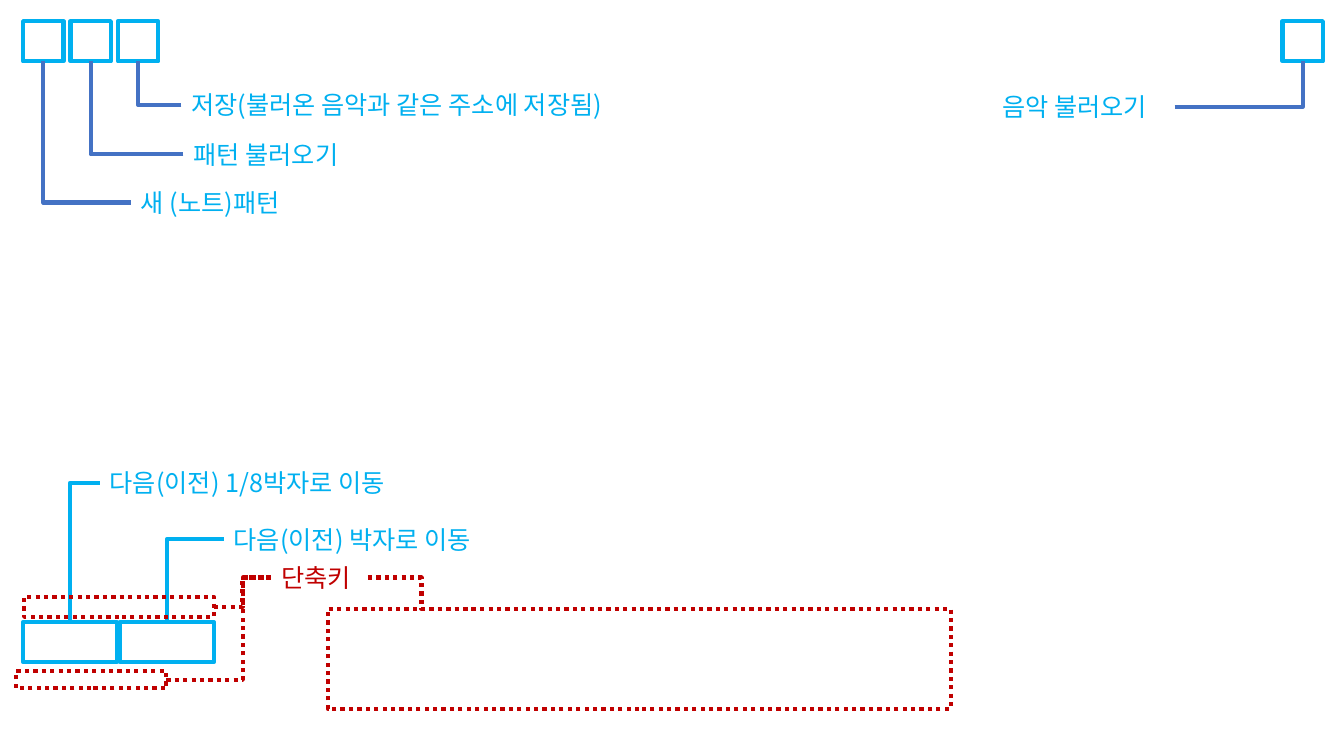
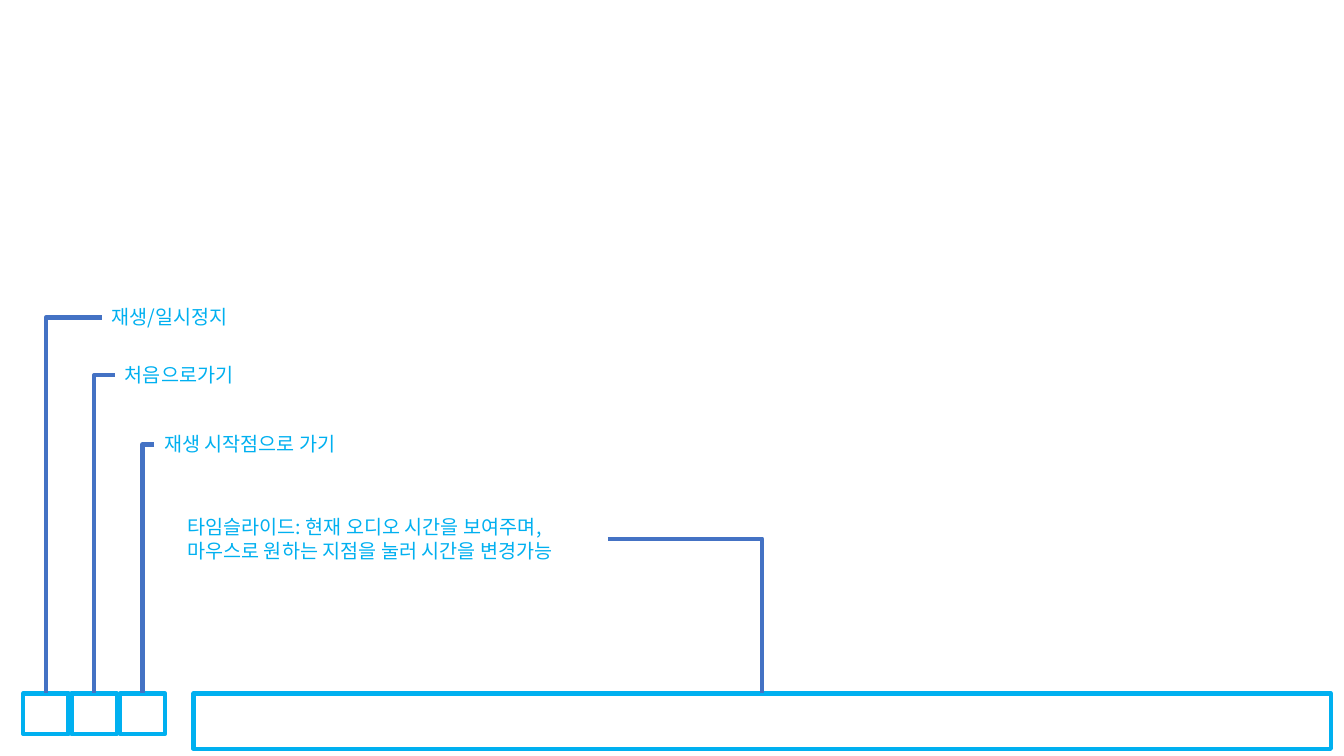
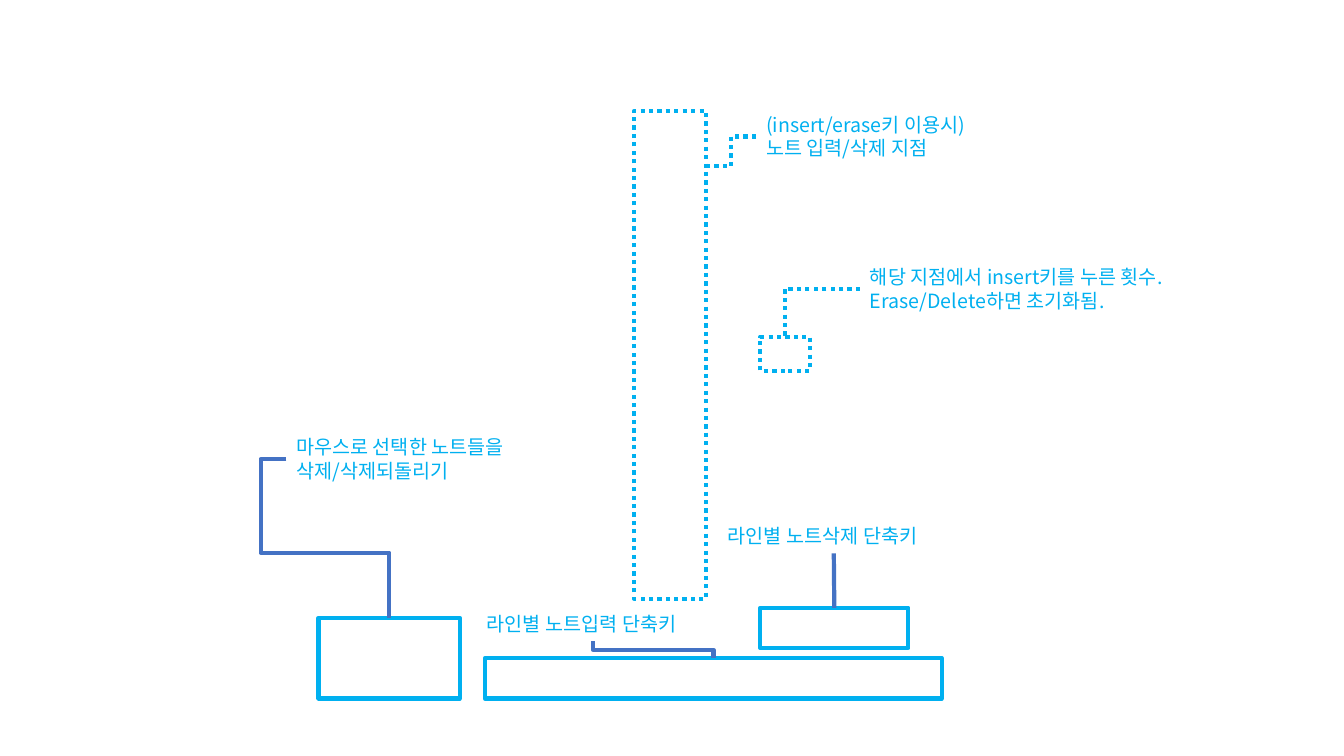
from dataclasses import dataclass
from lxml import etree
from pptx import Presentation
from pptx.dml.color import RGBColor
from pptx.enum.dml import MSO_LINE
from pptx.enum.shapes import MSO_CONNECTOR, MSO_SHAPE
from pptx.oxml.ns import qn
from pptx.util import Inches, Pt

RECT = MSO_SHAPE.RECTANGLE
ELBOW = MSO_CONNECTOR.ELBOW
PLAIN = MSO_CONNECTOR.STRAIGHT
DOTS = MSO_LINE.ROUND_DOT
TOP, LEFT, BOTTOM, RIGHT = range(4)
TURN = "16200000"


@dataclass(frozen=True)
class Theme:
    cyan: RGBColor = RGBColor(0x00, 0xB0, 0xF0)
    blue: RGBColor = RGBColor(0x44, 0x72, 0xC4)
    red: RGBColor = RGBColor(0xC0, 0x00, 0x00)
    font: str = "Noto Sans CJK KR"
    large: int = 18
    small: int = 14
    line: int = 3


THEME = Theme()


def stroke(line, color, dotted):
    line.color.rgb = color
    line.width = Pt(THEME.line)
    if dotted:
        line.dash_style = DOTS


def frame(slide, x, y, w, h, color=THEME.cyan, dotted=False):
    box = slide.shapes.add_shape(RECT, Inches(x), Inches(y), Inches(w), Inches(h))
    box.shadow.inherit = False
    box.fill.background()
    stroke(box.line, color, dotted)
    return box


def label(slide, text, x, y, w, size=THEME.small, color=THEME.cyan):
    rows = text.count("\n") + 1
    high = 0.4 if size == THEME.large else 0.11 + 0.23 * rows
    box = slide.shapes.add_textbox(Inches(x), Inches(y), Inches(w), Inches(high))
    box.text_frame.word_wrap = True
    box.text_frame.text = text
    for para in box.text_frame.paragraphs:
        for run in para.runs:
            run.font.size = Pt(size)
            run.font.name = THEME.font
            run.font.color.rgb = color
            east = etree.SubElement(run.font._element, qn("a:ea"))
            east.set("typeface", THEME.font)
    return box


def join(slide, kind, start, goal, color, dotted=False):
    wire = slide.shapes.add_connector(kind, 0, 0, 0, 0)
    wire.begin_connect(*start)
    if hasattr(goal[0], "shape_id"):
        wire.end_connect(*goal)
    else:
        wire.end_x, wire.end_y = (Inches(v) for v in goal)
    stroke(wire.line, color, dotted)
    etree.SubElement(wire.element.spPr, qn("a:effectLst"))
    return wire


def bend(wire, count, *ratios):
    geom = wire.element.spPr.find(qn("a:prstGeom"))
    geom.set("prst", f"bentConnector{count}")
    stops = geom.find(qn("a:avLst"))
    for index, ratio in enumerate(ratios, 1):
        stop = etree.SubElement(stops, qn("a:gd"))
        stop.set("name", f"adj{index}")
        stop.set("fmla", f"val {round(ratio * 100000)}")


def corner(slide, note, side, box, edge, color=THEME.blue, dotted=False):
    bend(join(slide, ELBOW, (note, side), (box, edge), color, dotted), 2)


def turn(wire):
    mid = wire.left + wire.width // 2, wire.top + wire.height // 2
    wire.width, wire.height = wire.height, wire.width
    wire.left = mid[0] - wire.width // 2
    wire.top = mid[1] - wire.height // 2
    xfrm = wire.element.spPr.find(qn("a:xfrm"))
    xfrm.set("rot", TURN)
    xfrm.set("flipH", "1")


def files(slide):
    big = THEME.large
    music = label(slide, "음악 불러오기", 9.84, 0.86, 1.81, big)
    corner(slide, music, RIGHT, frame(slide, 12.72, 0.21, 0.4, 0.4), BOTTOM)
    notes = [
        ("새 (노트)패턴", 1.3, 1.81, 1.71),
        ("패턴 불러오기", 1.82, 1.33, 1.81),
        ("저장(불러온 음악과 같은 주소에 저장됨)", 1.8, 0.84, 4.75),
    ]
    for index, note in enumerate(notes):
        box = frame(slide, 0.23 + 0.47 * index, 0.21, 0.4, 0.4)
        corner(slide, label(slide, *note, big), LEFT, box, BOTTOM)

    moves = [
        ("다음(이전) 1/8박자로 이동", 0.99, 4.59, 3.18),
        ("다음(이전) 박자로 이동", 2.22, 5.15, 2.81),
    ]
    for index, note in enumerate(moves):
        box = frame(slide, 0.23 + 0.96 * index, 6.17, 0.93, 0.4)
        corner(slide, label(slide, *note, big), LEFT, box, TOP, THEME.cyan)

    red = THEME.red
    keys = label(slide, "단축키", 2.69, 5.53, 0.96, big, red)
    upper = frame(slide, 0.24, 5.92, 1.88, 0.2, red, True)
    lower = frame(slide, 0.16, 6.66, 1.49, 0.17, red, True)
    frame(slide, 3.25, 6.04, 6.18, 0.99, red, True)
    for box, ratio in ((upper, 0.5), (lower, 0.73)):
        bend(join(slide, ELBOW, (box, RIGHT), (keys, LEFT), red, True), 3, ratio)
    bend(join(slide, ELBOW, (keys, RIGHT), (4.71, 6.04), red, True), 3, 0.5)


def player(slide):
    notes = [
        ("재생/일시정지", 1.01, 2.98, 1.46),
        ("처음으로가기", 1.14, 3.55, 1.38),
        ("재생 시작점으로 가기", 1.53, 4.24, 2.11),
    ]
    for index, note in enumerate(notes):
        box = frame(slide, 0.23 + 0.48 * index, 6.88, 0.45, 0.4)
        corner(slide, label(slide, *note), LEFT, box, TOP)
    text = "타임슬라이드: 현재 오디오 시간을 보여주며,\n마우스로 원하는 지점을 눌러 시간을 변경가능"
    time = label(slide, text, 1.76, 5.06, 4.27)
    corner(slide, time, RIGHT, frame(slide, 1.92, 6.88, 11.28, 0.55), TOP)


def editor(slide):
    cyan, blue = THEME.cyan, THEME.blue
    undo = label(slide, "마우스로 선택한 노트들을\n삭제/삭제되돌리기", 2.84, 4.27, 2.57)
    box = frame(slide, 3.16, 6.13, 1.4, 0.8)
    bend(join(slide, ELBOW, (undo, LEFT), (box, TOP), blue), 4, -0.25, 0.59)

    enter = label(slide, "라인별 노트입력 단축키", 4.73, 6.02, 2.3)
    box = frame(slide, 4.81, 6.53, 4.53, 0.4)
    wire = join(slide, ELBOW, (enter, BOTTOM), (box, TOP), blue)
    bend(wire, 3, 0.5)
    turn(wire)

    erase = label(slide, "라인별 노트삭제 단축키", 7.12, 5.15, 2.3)
    box = frame(slide, 7.54, 6.03, 1.47, 0.4)
    join(slide, PLAIN, (erase, BOTTOM), (box, TOP), blue)

    point = label(slide, "(insert/erase키 이용시)\n노트 입력/삭제 지점", 7.5, 1.07, 2.38)
    frame(slide, 6.29, 1.1, 0.71, 4.84, cyan, True)
    bend(join(slide, ELBOW, (point, LEFT), (7, 1.65), cyan, True), 3, 0.5)

    text = "해당 지점에서 insert키를 누른 횟수.\nErase/Delete하면 초기화됨."
    count = label(slide, text, 8.53, 2.58, 3.49)
    box = frame(slide, 7.54, 3.34, 0.49, 0.34, cyan, True)
    corner(slide, count, LEFT, box, TOP, cyan, True)


def main():
    deck = Presentation()
    deck.slide_width, deck.slide_height = Inches(13.33), Inches(7.5)
    for build in (files, player, editor):
        build(deck.slides.add_slide(deck.slide_layouts[6]))
    deck.save("out.pptx")


if __name__ == "__main__":
    main()
